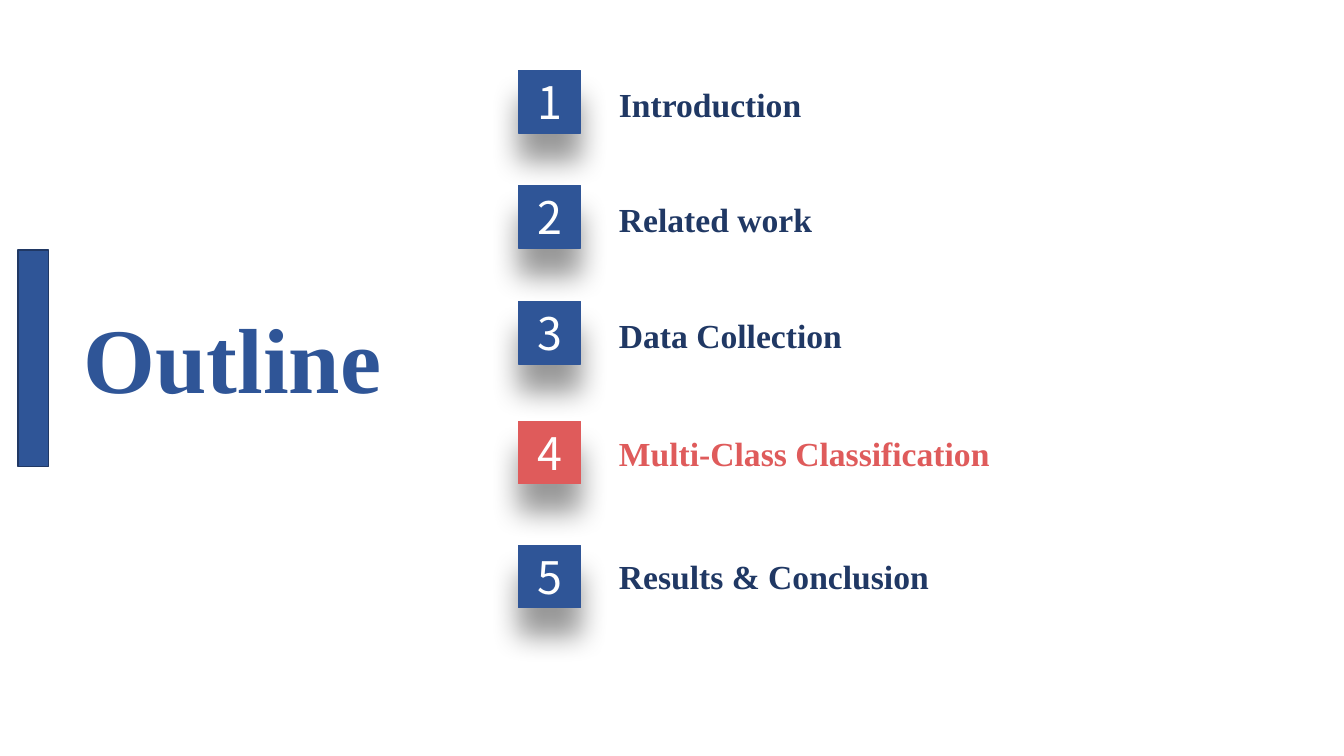
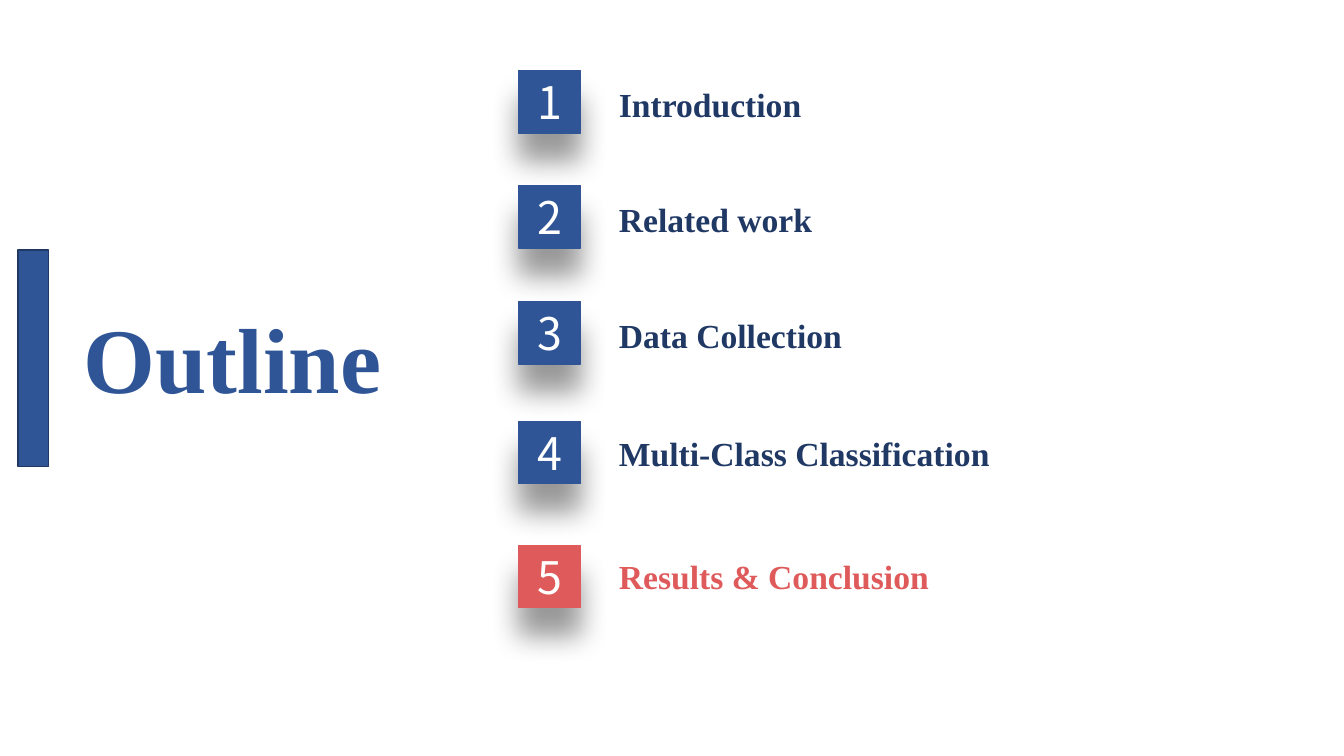
from dataclasses import dataclass

from lxml.etree import SubElement
from pptx import Presentation
from pptx.dml.color import RGBColor
from pptx.enum.shapes import MSO_SHAPE
from pptx.enum.text import MSO_ANCHOR, MSO_AUTO_SIZE, PP_ALIGN
from pptx.oxml.ns import qn
from pptx.shapes.autoshape import Shape
from pptx.slide import Slide
from pptx.util import Emu, Pt

PX = 9144  # EMU per px, 100 px to the inch


@dataclass(frozen=True)
class Theme:
    blue: str = "2F5597"
    navy: str = "203864"
    coral: str = "DF5B5B"
    white: str = "FFFFFF"
    shadow: str = "000000"
    serif: str = "Times New Roman"
    sans: str = "Noto Sans CJK SC"
    title_pt: int = 66
    number_pt: int = 32
    label_pt: int = 24


@dataclass(frozen=True)
class Section:
    label: str
    badge_top: int
    label_top: int
    label_width: int


THEME = Theme()
SECTIONS = (
    Section("Introduction", 70, 78, 203),
    Section("Related work", 184, 192, 214),
    Section("Data Collection", 299, 307, 244),
    Section("Multi-Class Classification", 418, 424, 391),
    Section("Results & Conclusion", 541, 547, 331),
)
CURRENT_SECTIONS = (4, 5)

BADGE_LEFT, BADGE_SIZE = 514, 62
LABEL_LEFT, LABEL_HEIGHT = 604, 50


def px(*lengths: int) -> list[Emu]:
    return [Emu(length * PX) for length in lengths]


def write(shape: Shape, text: str, font: str, size: int, color: str,
          bold: bool, align: PP_ALIGN, anchor: MSO_ANCHOR) -> None:
    frame = shape.text_frame
    frame.text = text
    frame.vertical_anchor = anchor
    paragraph = frame.paragraphs[0]
    paragraph.alignment = align
    paragraph.font.name = font
    paragraph.font.size = Pt(size)
    paragraph.font.bold = bold
    paragraph.font.color.rgb = RGBColor.from_string(color)


def add_block(slide: Slide, box: tuple[int, int, int, int],
              fill: str, line: str) -> Shape:
    block = slide.shapes.add_shape(MSO_SHAPE.RECTANGLE, *px(*box))
    block.shadow.inherit = False
    block.fill.solid()
    block.fill.fore_color.rgb = RGBColor.from_string(fill)
    block.line.color.rgb = RGBColor.from_string(line)
    block.line.width = Pt(1)
    return block


def drop_shadow(block: Shape) -> None:
    effects = block.element.spPr.find(qn("a:effectLst"))
    shadow = SubElement(effects, qn("a:outerShdw"), blurRad=str(Pt(20)),
                        dist=str(Pt(20)), dir="5400000", rotWithShape="0")
    color = SubElement(shadow, qn("a:srgbClr"), val=THEME.shadow)
    SubElement(color, qn("a:alpha"), val="40000")


def add_heading(slide: Slide) -> None:
    title = slide.shapes.title
    title.left, title.top, title.width, title.height = px(73, 285, 450, 211)
    write(title, "Outline", THEME.serif, THEME.title_pt, THEME.blue,
          True, PP_ALIGN.LEFT, MSO_ANCHOR.TOP)
    title.text_frame.auto_size = MSO_AUTO_SIZE.NONE
    title.text_frame.margin_top = px(14)[0]
    add_block(slide, (18, 248, 30, 215), THEME.blue, THEME.navy)


def add_section(slide: Slide, number: int, section: Section,
                is_current: bool) -> None:
    # Numbered badge
    badge_color = THEME.coral if is_current else THEME.blue
    badge = add_block(slide, (BADGE_LEFT, section.badge_top, BADGE_SIZE, BADGE_SIZE),
                      badge_color, badge_color)
    drop_shadow(badge)
    write(badge, str(number), THEME.sans, THEME.number_pt, THEME.white,
          False, PP_ALIGN.CENTER, MSO_ANCHOR.MIDDLE)
    frame = badge.text_frame
    frame.margin_left, frame.margin_top, frame.margin_right, frame.margin_bottom = px(13, 7, 13, 7)

    # Section name
    label = slide.shapes.add_textbox(
        *px(LABEL_LEFT, section.label_top, section.label_width, LABEL_HEIGHT))
    label.text_frame.word_wrap = False
    label.text_frame.auto_size = MSO_AUTO_SIZE.SHAPE_TO_FIT_TEXT
    write(label, section.label, THEME.serif, THEME.label_pt,
          THEME.coral if is_current else THEME.navy,
          True, PP_ALIGN.LEFT, MSO_ANCHOR.MIDDLE)


def main() -> None:
    deck = Presentation()
    deck.slide_width, deck.slide_height = px(1333, 750)
    title_only = deck.slide_layouts.get_by_name("Title Only")
    for current in CURRENT_SECTIONS:
        outline = deck.slides.add_slide(title_only)
        add_heading(outline)
        for number, section in enumerate(SECTIONS, start=1):
            add_section(outline, number, section, number == current)
    deck.save("out.pptx")


if __name__ == "__main__":
    main()
